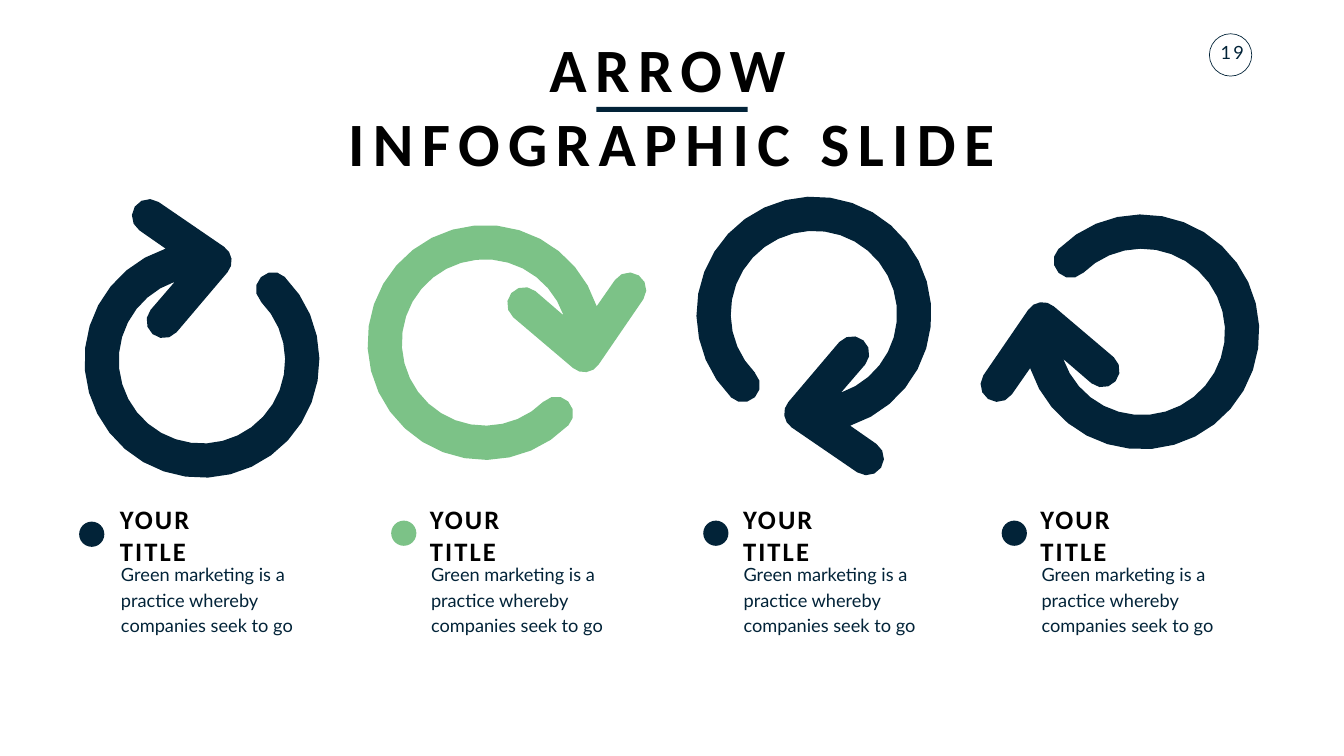
from math import cos, radians, sin

from pptx import Presentation
from pptx.dml.color import RGBColor
from pptx.enum import shapes as kinds, text as texts
from pptx.util import Inches, Pt

NAVY = RGBColor(0x02, 0x23, 0x38)
GREEN = RGBColor(0x7C, 0xC2, 0x87)
BLACK = RGBColor(0, 0, 0)
OVAL = kinds.MSO_SHAPE.OVAL
BAR = kinds.MSO_SHAPE.RECTANGLE
CENTER = texts.PP_ALIGN.CENTER

TITLE = "ARROW INFOGRAPHIC SLIDE"
PAGE = "19"
HEAD = "YOUR TITLE"
BODY = "Green marketing is a practice whereby companies seek to go"

# ring centre x, y, turn in degrees, colour
ARROWS = [
    (4.01, 7.15, 0, NAVY),
    (9.62, 6.80, 90, GREEN),
    (16.14, 6.23, 180, NAVY),
    (22.65, 6.58, 270, NAVY),
]
# dot left, dot top, heading left, body left, colour
ITEMS = [
    (1.57, 10.35, 2.28, 2.16, NAVY),
    (7.76, 10.33, 8.43, 8.31, GREEN),
    (13.95, 10.33, 14.64, 14.51, NAVY),
    (19.87, 10.33, 20.54, 20.42, NAVY),
]
# Arrow outline around its ring centre: arc centre x, y, radius, from, to, steps
OUTER, INNER, CAP = 2.33, 1.65, 0.34
ARCS = [
    (0, 0, OUTER, -45, 252, 27),
    (-1.05, -2.86, CAP, 124, 304, 6),
    (0.25, -1.97, CAP, -56, 41, 4),
    (-0.76, -0.78, CAP, 41, 220, 6),
    (0, 0, INNER, 251, -45, 27),
    (1.41, -1.41, CAP, 135, 315, 6),
]


def trace(x, y, radius, start, end, steps):
    """Return the points of an arc."""
    turns = [radians(start + (end - start) * i / steps) for i in range(steps + 1)]
    return [(Inches(x + radius * cos(t)), Inches(y + radius * sin(t))) for t in turns]


def paint(shape, color):
    shape.shadow.inherit = False
    shape.fill.solid()
    shape.fill.fore_color.rgb = color
    shape.line.fill.background()


def add_arrow(slide, x, y, turn, color):
    points = [point for arc in ARCS for point in trace(*arc)]
    pen = slide.shapes.build_freeform(*points[0])
    pen.add_line_segments(points[1:], close=True)
    arrow = pen.convert_to_shape()
    lift = -(arrow.top + arrow.height / 2)
    angle = radians(turn)
    arrow.left = round(Inches(x) + lift * sin(angle) - arrow.width / 2)
    arrow.top = round(Inches(y) - lift * cos(angle) - arrow.height / 2)
    arrow.rotation = turn
    paint(arrow, color)


def add_shape(slide, kind, box, color):
    shape = slide.shapes.add_shape(kind, *map(Inches, box))
    paint(shape, color)
    return shape


def add_text(slide, words, box, size, font, color, bold=False, gap=0,
             align=None, wrap=True):
    """Add a one-run text box; gap is the letter spacing in points."""
    frame = slide.shapes.add_textbox(*map(Inches, box)).text_frame
    frame.word_wrap = wrap
    para = frame.paragraphs[0]
    para.alignment = align
    run = para.add_run()
    run.text = words
    run.font.size = Pt(size)
    run.font.name = font
    run.font.bold = bold
    run.font.color.rgb = color
    if gap:
        run.font._element.set("spc", str(gap * 100))
    return frame


def add_item(slide, dot, top, head, body, color):
    add_shape(slide, OVAL, (dot, top, 0.5, 0.5), color)
    frame = add_text(slide, HEAD, (head, 10.24, 2.41, 0.74), 38, "Calibri",
                     BLACK, bold=True, gap=3)
    frame.vertical_anchor = texts.MSO_ANCHOR.MIDDLE
    frame = add_text(slide, BODY, (body, 10.97, 4.06, 1.74), 26, "Lato", NAVY)
    frame.margin_left = frame.margin_right = Inches(0.24)
    frame.margin_top = frame.margin_bottom = Inches(0.12)
    frame.paragraphs[0].line_spacing = Pt(37)


def main():
    deck = Presentation()
    deck.slide_width, deck.slide_height = Inches(26.66), Inches(15)
    slide = deck.slides.add_slide(deck.slide_layouts[6])

    add_text(slide, PAGE, (24.06, 0.78, 0.77, 0.54), 26, "Lato", NAVY,
             gap=3, align=CENTER, wrap=False)
    badge = add_shape(slide, OVAL, (23.99, 0.67, 0.84, 0.84), NAVY)
    badge.fill.background()
    badge.line.color.rgb = NAVY
    badge.line.width = Pt(1)

    for arrow in ARROWS:
        add_arrow(slide, *arrow)
    add_text(slide, TITLE, (6.29, 0.56, 14.07, 1.58), 88, "Calibri", BLACK,
             bold=True, gap=12, align=CENTER)
    add_shape(slide, BAR, (11.83, 2.12, 3, 0.1), NAVY)
    for item in ITEMS:
        add_item(slide, *item)
    deck.save("out.pptx")


if __name__ == "__main__":
    main()
